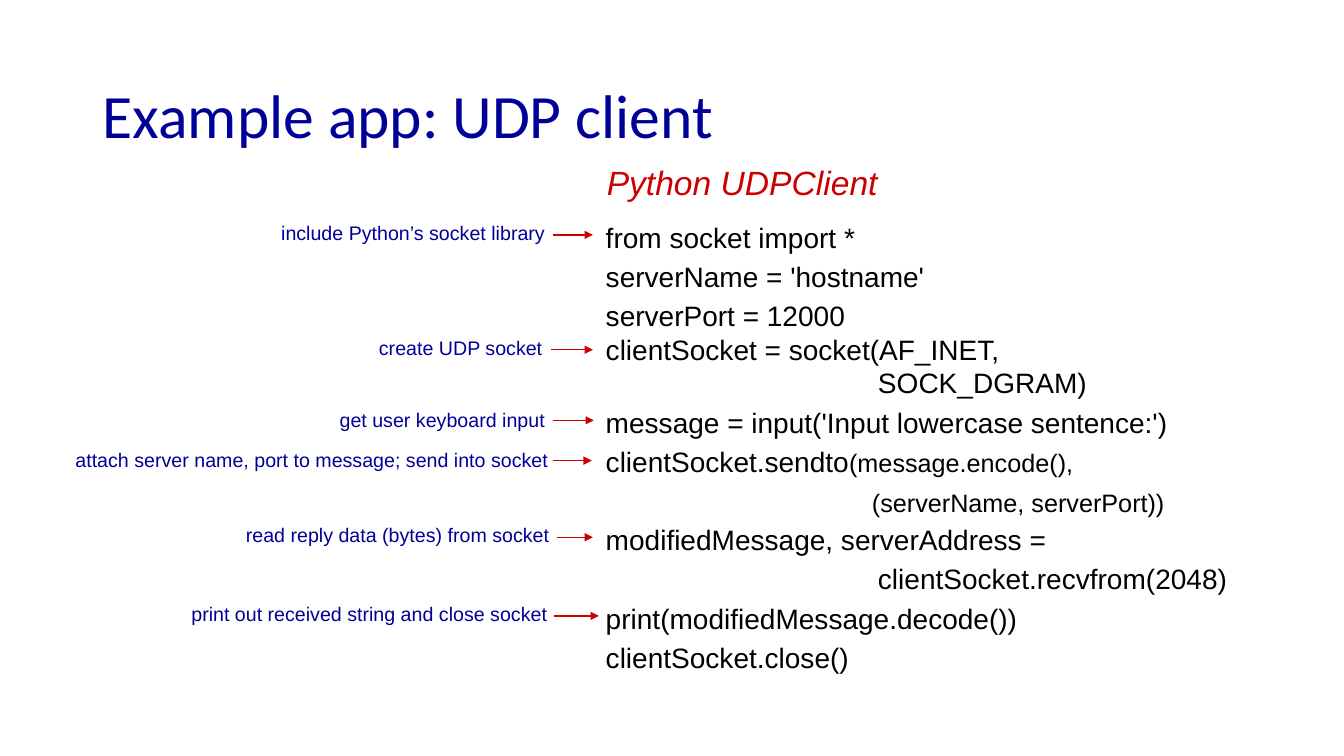
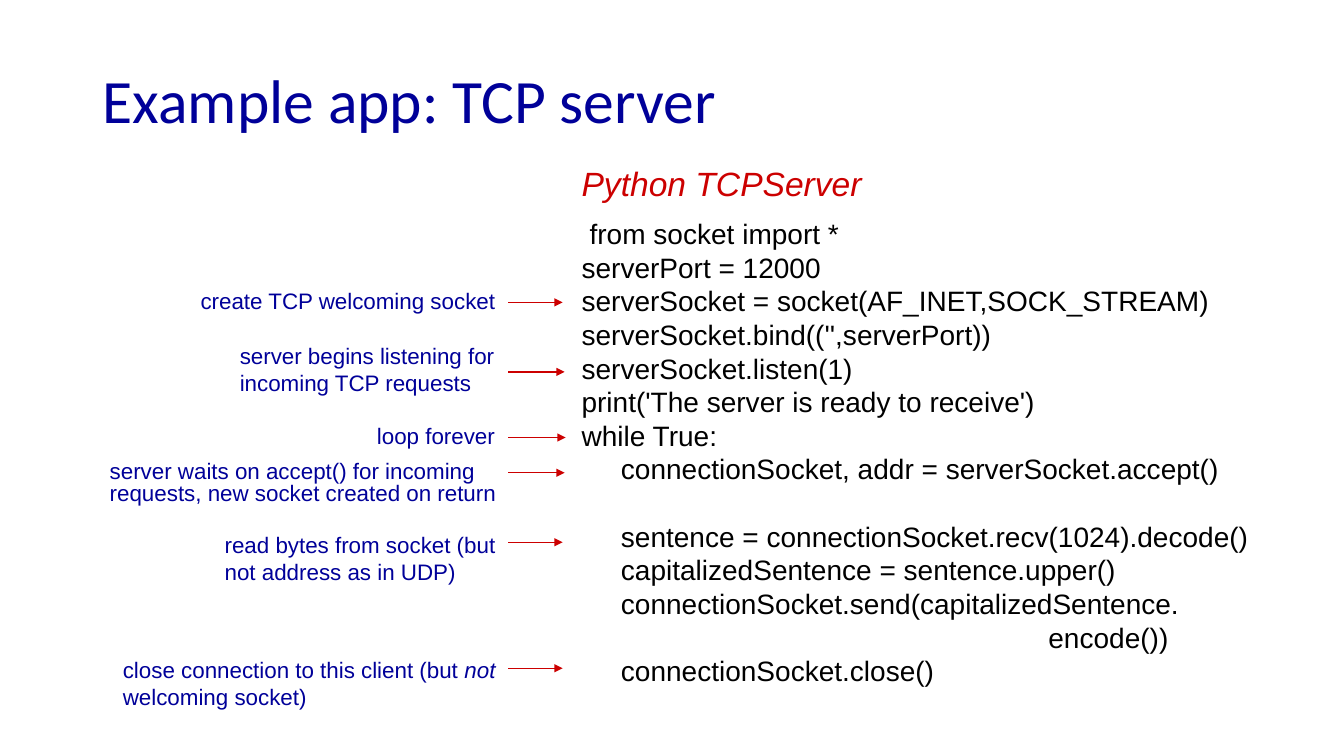
from dataclasses import dataclass

from lxml.etree import SubElement
from pptx import Presentation
from pptx.dml.color import RGBColor
from pptx.enum.shapes import MSO_CONNECTOR
from pptx.enum.text import MSO_ANCHOR
from pptx.oxml.ns import qn
from pptx.util import Inches, Pt

BLUE, RED, BLACK = "000099", "CC0000", "000000"
CODE_SIZE = 20
LEADING = 1.2


@dataclass
class Run:
    text: str
    size: float | None = None
    italic: bool | None = None


@dataclass
class Line:
    """One paragraph: its runs, left indent in inches and spacing in points."""
    runs: list
    indent: float = 0
    height: float | None = None
    before: float = 0


@dataclass
class Note:
    """A label and the arrow that leads from it to the code."""
    text: str | list
    left: float
    top: float
    width: float
    arrow_start: float
    arrow_end: float
    arrow_y: float
    line_height: float | None = None
    height: float = 0.34


def code(text, indent=0, height=None, before=0, size=None):
    return Line([Run(text, size)], indent, height, before)


def color(value):
    return RGBColor.from_string(value)


def add_text(slide, box, lines, size, text_color, font="Arial", italic=False,
             anchor=MSO_ANCHOR.TOP):
    shape = slide.shapes.add_textbox(*map(Inches, box))
    frame = shape.text_frame
    frame.word_wrap = True
    frame.vertical_anchor = anchor
    for index, line in enumerate(lines):
        paragraph = frame.add_paragraph() if index else frame.paragraphs[0]
        paragraph.font.name = font
        paragraph.font.size = Pt(size)
        paragraph.font.italic = italic
        paragraph.font.color.rgb = color(text_color)
        paragraph.line_spacing = Pt(line.height or size * LEADING)
        paragraph.space_before = Pt(line.before)
        if line.indent:
            paragraph._p.get_or_add_pPr().set("marL", str(Inches(line.indent)))
        for item in line.runs:
            run = paragraph.add_run()
            run.text = item.text
            if item.size:
                run.font.size = Pt(item.size)
            if item.italic:
                run.font.italic = True


def add_arrow(slide, start, end, y):
    arrow = slide.shapes.add_connector(
        MSO_CONNECTOR.STRAIGHT, Inches(start), Inches(y), Inches(end), Inches(y))
    arrow.line.color.rgb = color(RED)
    arrow.line.width = Pt(1)
    SubElement(arrow.line._get_or_add_ln(), qn("a:tailEnd"), type="triangle")
    SubElement(arrow._element.spPr, qn("a:effectLst"))


def add_note(slide, note, size):
    runs = [Run(note.text)] if isinstance(note.text, str) else note.text
    add_text(slide, (note.left, note.top, note.width, note.height),
             [Line(runs, height=note.line_height)], size, BLUE)
    add_arrow(slide, note.arrow_start, note.arrow_end, note.arrow_y)


def add_code_slide(presentation, title, title_box, program, program_box,
                   lines, code_box, notes, note_size):
    slide = presentation.slides.add_slide(presentation.slide_layouts[6])
    add_text(slide, title_box, [code(title)], 44, BLUE, "Calibri",
             anchor=MSO_ANCHOR.MIDDLE)
    add_text(slide, code_box, lines, CODE_SIZE, BLACK)
    add_text(slide, program_box, [code(program)], 24, RED, italic=True)
    for note in notes:
        add_note(slide, note, note_size)


def add_udp_client(presentation):
    wide = 28
    continued = 2.7
    lines = [
        code("from socket import *", height=wide),
        code("serverName = 'hostname'", height=wide),
        code("serverPort = 12000", height=wide),
        code("clientSocket = socket(AF_INET,"),
        code("SOCK_DGRAM)", continued),
        code("message = input('Input lowercase sentence:')", height=wide),
        Line([Run("clientSocket.sendto"), Run("(message.encode(),", 18)],
             height=wide),
        code("(serverName, serverPort))", 2.64, wide, size=18),
        code("modifiedMessage, serverAddress =", height=wide),
        code("clientSocket.recvfrom(2048)", continued, wide),
        code("print(modifiedMessage.decode())", height=wide),
        code("clientSocket.close()", height=wide),
    ]
    notes = [
        Note("include Python’s socket library", 2.69, 2.15, 3.31, 5.48, 5.88, 2.33, 16),
        Note("create UDP socket", 3.66, 3.28, 3.22, 5.47, 5.88, 3.47),
        Note("get user keyboard input", 3.27, 4.01, 3.22, 5.48, 5.89, 4.17, 16),
        Note("attach server name, port to message; send into socket",
             0.65, 4.39, 5.16, 5.48, 5.87, 4.57),
        Note("read reply data (bytes) from socket", 2.34, 5.14, 4.47, 5.52, 5.88, 5.33),
        Note("print out received string and close socket",
             1.8, 5.92, 4.03, 5.49, 5.94, 6.11),
    ]
    add_code_slide(presentation, "Example app: UDP client", (0.92, 0.4, 11.5, 1.45),
                   "Python UDPClient", (5.92, 1.56, 3.2, 0.51),
                   lines, (5.91, 2.08, 7, 4.67), notes, 14)


def add_tcp_server(presentation):
    body = 0.39
    lines = [
        code("from socket import *", 0.08),
        code("serverPort = 12000"),
        code("serverSocket = socket(AF_INET,SOCK_STREAM)"),
        code("serverSocket.bind(('',serverPort))"),
        code("serverSocket.listen(1)"),
        code("print('The server is ready to receive')"),
        code("while True:"),
        code("connectionSocket, addr = serverSocket.accept()", body),
        code("sentence = connectionSocket.recv(1024).decode()", body,
             before=CODE_SIZE * LEADING),
        code("capitalizedSentence = sentence.upper()", body),
        code("connectionSocket.send(capitalizedSentence.", body),
        code("encode())", 4.63),
        code("connectionSocket.close()", body),
    ]
    start = 5.04
    two_lines = 0.64
    notes = [
        Note("create TCP welcoming socket", 1.89, 2.8, 3.35, start, 5.58, 3),
        Note("server begins listening for incoming TCP requests",
             2.28, 3.35, 3.14, start, 5.6, 3.69, height=two_lines),
        Note("loop forever", 3.64, 4.18, 2.03, start, 5.61, 4.34, 16),
        Note("server waits on accept() for incoming requests, "
             "new socket created on return",
             0.99, 4.53, 4.67, start, 5.6, 4.69, 16, 0.55),
        Note("read bytes from socket (but not address as in UDP)",
             2.13, 5.22, 3, start, 5.58, 5.38, height=two_lines),
        Note([Run("close connection to this client (but "), Run("not", italic=True),
              Run(" welcoming socket)")],
             1.12, 6.46, 4.27, start, 5.58, 6.63, height=two_lines),
    ]
    add_code_slide(presentation, "Example app: TCP server", (0.92, 0.49, 11.5, 0.98),
                   "Python TCPServer", (5.67, 1.57, 3.2, 0.51),
                   lines, (5.67, 2.1, 7.2, 4.81), notes, 16)


def main():
    presentation = Presentation()
    presentation.slide_width = Inches(13.33)
    presentation.slide_height = Inches(7.5)
    add_udp_client(presentation)
    add_tcp_server(presentation)
    presentation.save("out.pptx")


if __name__ == "__main__":
    main()
